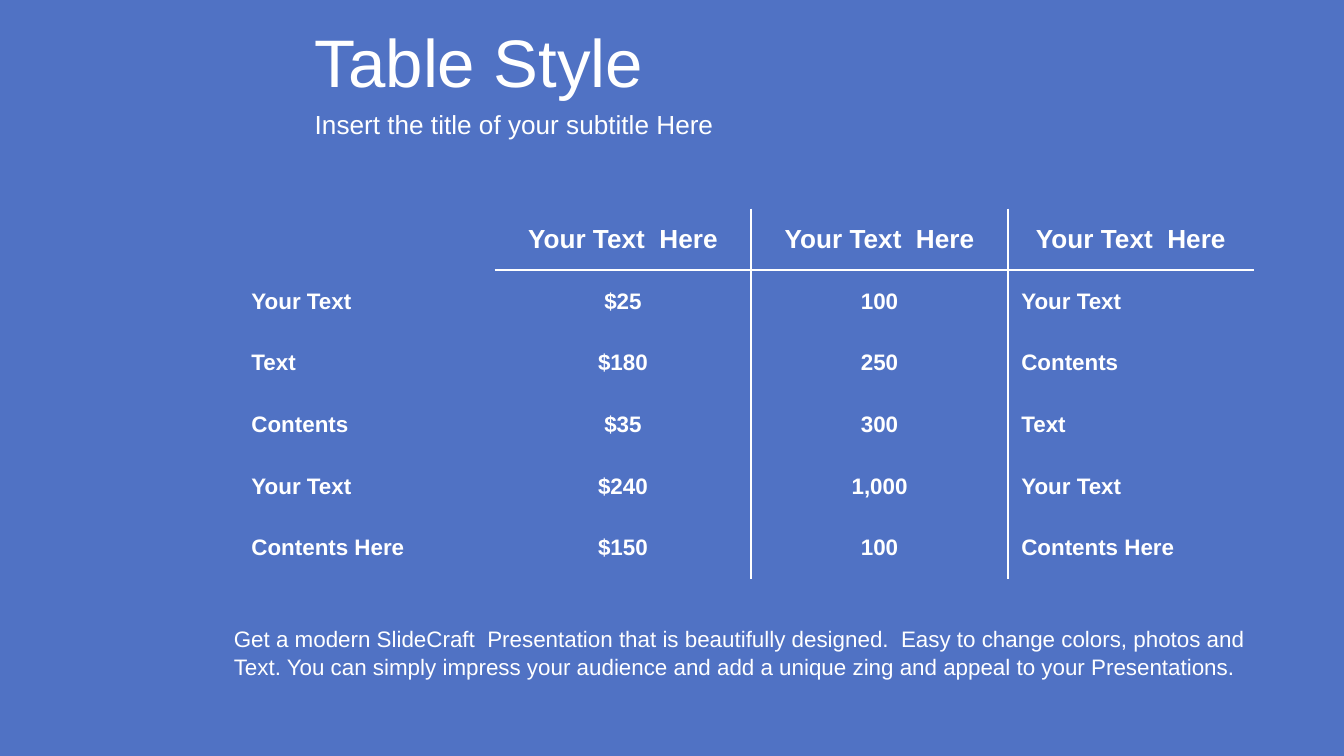
from pptx import Presentation
from pptx.dml.color import RGBColor
from pptx.enum.text import MSO_ANCHOR, MSO_AUTO_SIZE, PP_ALIGN
from pptx.oxml.ns import qn
from pptx.util import Pt
from lxml.etree import SubElement

BLUE = RGBColor(0x50, 0x72, 0xC4)
WHITE = RGBColor(0xFF, 0xFF, 0xFF)
FONT = "Arial"
RULE_WIDTH = 1.5

HEADER = ["", "Your Text  Here", "Your Text  Here", "Your Text  Here"]
ITEMS = [
    ["Your Text", "$25", "100", "Your Text"],
    ["Text", "$180", "250", "Contents"],
    ["Contents", "$35", "300", "Text"],
    ["Your Text", "$240", "1,000", "Your Text"],
    ["Contents Here", "$150", "100", "Contents Here"],
]
SUMMARY = (
    "Get a modern SlideCraft  Presentation that is beautifully designed.  "
    "Easy to change colors, photos and Text. You can simply impress your audience "
    "and add a unique zing and appeal to your Presentations."
)


def write(frame, text, size=12, bold=False, align=PP_ALIGN.LEFT, spacing=None):
    paragraph = frame.paragraphs[0]
    paragraph.alignment = align
    paragraph.line_spacing = spacing
    paragraph.font.size = Pt(size)
    run = paragraph.add_run()
    run.text = text
    run.font.name = FONT
    run.font.size = Pt(size)
    run.font.bold = bold
    run.font.color.rgb = WHITE


def add_frame(slide, left, top, width, height, anchor=MSO_ANCHOR.MIDDLE):
    frame = slide.shapes.add_textbox(Pt(left), Pt(top), Pt(width), Pt(height)).text_frame
    frame.word_wrap = True
    frame.vertical_anchor = anchor
    return frame


def add_heading(slide, left, top, width, height):
    title_height = height * 2 / 3
    title = add_frame(slide, left, top, width, title_height)
    write(title, "Table Style", size=36)
    subtitle = add_frame(slide, left, top + title_height, width, height - title_height)
    write(subtitle, "Insert the title of your subtitle Here", size=14)


def set_borders(cell, ruled_sides):
    properties = cell._tc.get_or_add_tcPr()
    for side in "LRTB":
        line = SubElement(properties, qn(f"a:ln{side}"), w=str(Pt(RULE_WIDTH)))
        if side in ruled_sides:
            fill = SubElement(line, qn("a:solidFill"))
            SubElement(fill, qn("a:srgbClr"), val=str(WHITE))
        else:
            SubElement(line, qn("a:noFill"))


def sides_to_rule(row, column):
    sides = ""
    if column >= 2:
        sides += "L"
    if column in (1, 2):
        sides += "R"
    if column >= 1 and row == 1:
        sides += "T"
    if column >= 1 and row == 0:
        sides += "B"
    return sides


def add_price_table(slide, left, top, width, height):
    rows = [HEADER] + ITEMS
    last_width = 131.8
    column_width = (width - last_width) / 3
    table = slide.shapes.add_table(
        len(rows), len(HEADER), Pt(left), Pt(top), Pt(width), Pt(height)
    ).table
    table.first_row = False
    table.horz_banding = False
    for column, size in zip(table.columns, [column_width] * 3 + [last_width]):
        column.width = Pt(size)
    for row_index, texts in enumerate(rows):
        table.rows[row_index].height = Pt(height / len(rows))
        for column_index, text in enumerate(texts):
            cell = table.cell(row_index, column_index)
            set_borders(cell, sides_to_rule(row_index, column_index))
            cell.fill.background()
            cell.vertical_anchor = MSO_ANCHOR.MIDDLE
            if text:
                centred = row_index == 0 or column_index in (1, 2)
                write(
                    cell.text_frame,
                    text,
                    size=14 if row_index == 0 else 12,
                    bold=True,
                    align=PP_ALIGN.CENTER if centred else PP_ALIGN.LEFT,
                )


def add_summary(slide, left, top, width, height):
    frame = add_frame(slide, left, top, width, height, anchor=MSO_ANCHOR.TOP)
    frame.auto_size = MSO_AUTO_SIZE.SHAPE_TO_FIT_TEXT
    write(frame, SUMMARY, spacing=1.05)


def main():
    presentation = Presentation()
    presentation.slide_width = Pt(720)
    presentation.slide_height = Pt(405)
    slide = presentation.slides.add_slide(presentation.slide_layouts[6])
    slide.background.fill.solid()
    slide.background.fill.fore_color.rgb = BLUE
    add_heading(slide, 161.5, 10, 558.5, 68)
    add_price_table(slide, 127.5, 111.7, 544.3, 198.6)
    add_summary(slide, 118.2, 330.5, 564.5, 36)
    presentation.save("out.pptx")


if __name__ == "__main__":
    main()
